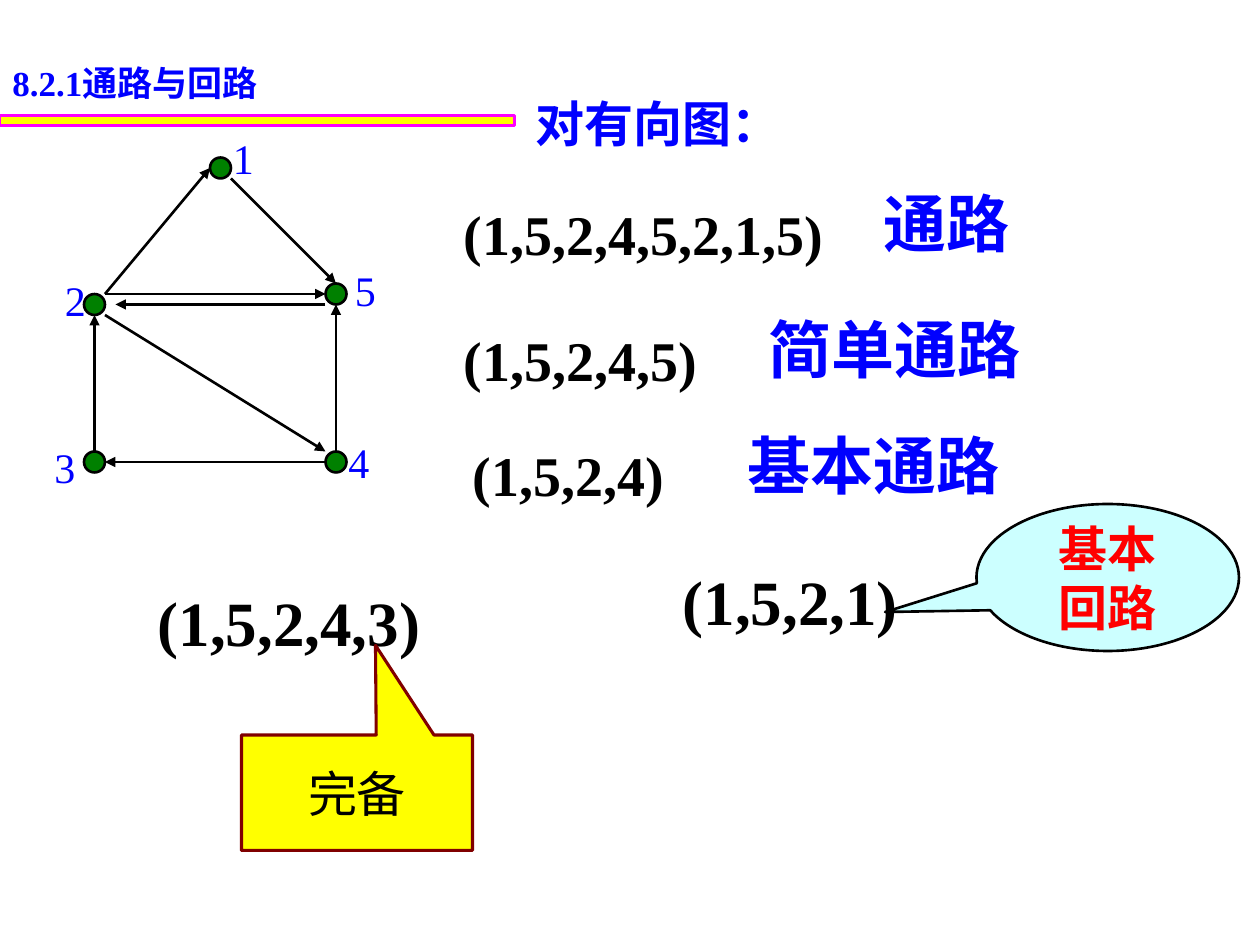
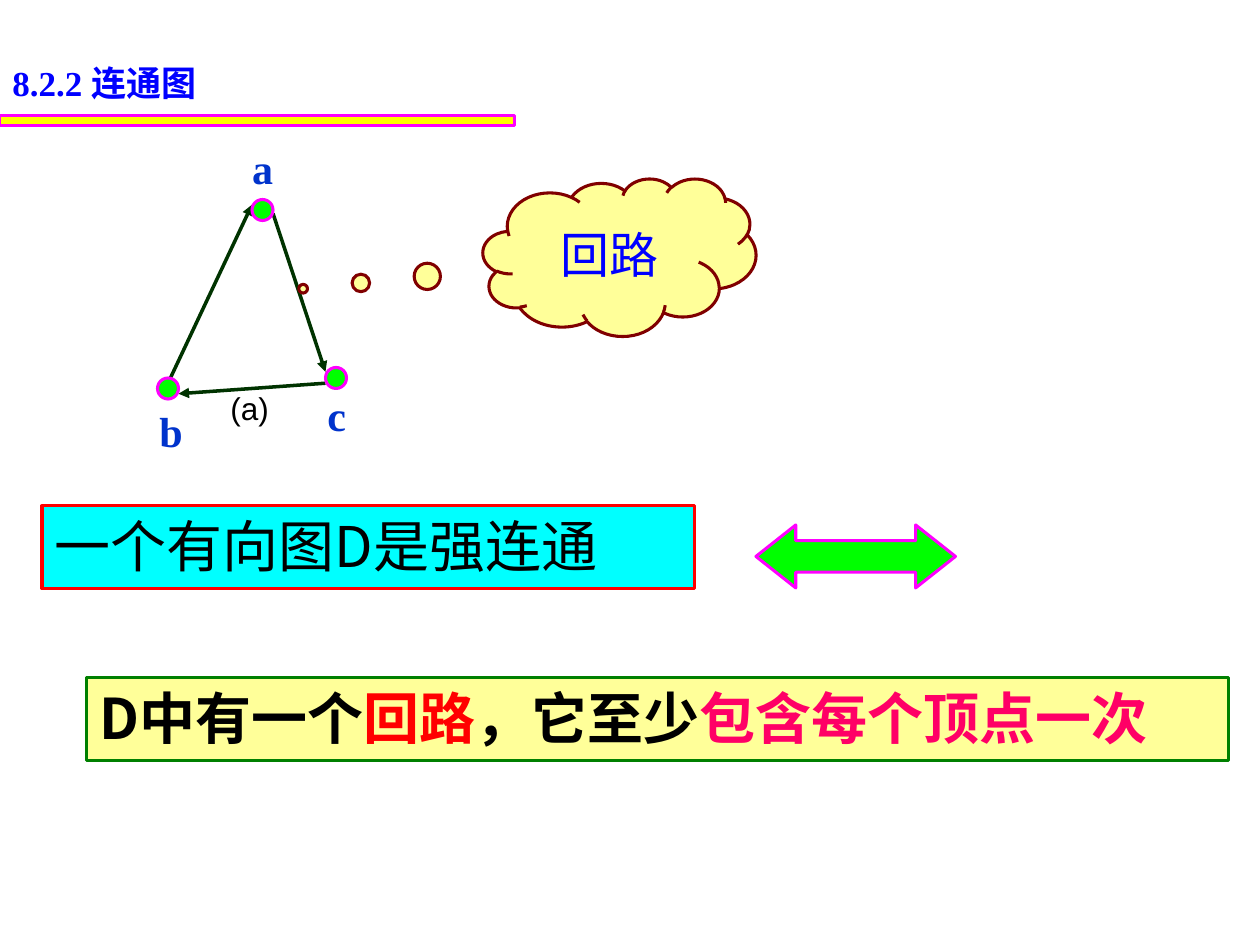
from lxml import etree
from pptx import Presentation
from pptx import util as u
from pptx.dml.color import RGBColor
from pptx.enum import shapes, text
from pptx.oxml import ns

Pt = u.Pt
SHAPE = shapes.MSO_SHAPE
SERIF, SANS, CJK = "Times New Roman", "Arial", "Noto Sans CJK JP"
NODE = 12
C = {
    "black": "000000", "blue": "0000FF", "royal": "0033CC", "red": "FF0000",
    "pink": "FF0066", "magenta": "FF00FF", "maroon": "800000",
    "yellow": "FFFF00", "cream": "FFFF99", "cyan": "00FFFF", "ice": "CCFFFF",
    "green": "008000", "lime": "00FF00", "forest": "003300",
}


def rgb(name):
    return RGBColor.from_string(C[name])


def write(tf, paragraphs, size, font=SANS, color="black", bold=False, align=None):
    for i, runs in enumerate(paragraphs):
        p = tf.paragraphs[0] if i == 0 else tf.add_paragraph()
        p.alignment = align
        for words, *style in runs:
            run_font, run_color = (style + [None, None])[:2]
            r = p.add_run()
            r.text = words
            r.font.size = Pt(size)
            r.font.bold = bold
            r.font.color.rgb = rgb(run_color or color)
            r.font.name = run_font or font
            ea = etree.SubElement(r.font._element, ns.qn("a:ea"))
            ea.set("typeface", CJK)


def add_text(s, box, runs, size, wrap=True, **style):
    tf = s.shapes.add_textbox(*map(Pt, box)).text_frame
    tf.word_wrap = wrap
    tf.auto_size = text.MSO_AUTO_SIZE.SHAPE_TO_FIT_TEXT
    write(tf, [runs], size, **style)


def add_shape(s, kind, box, fill, line, width=1.75, adj=()):
    sp = s.shapes.add_shape(kind, *map(Pt, box))
    sp.shadow.inherit = False
    sp.fill.solid()
    sp.fill.fore_color.rgb = rgb(fill)
    sp.line.color.rgb = rgb(line)
    sp.line.width = Pt(width)
    for i, value in enumerate(adj):
        sp.adjustments[i] = value
    return sp


def add_callout(s, kind, box, fill, line, adj, lines, color, width=1.75, bold=False):
    tf = add_shape(s, kind, box, fill, line, width, adj).text_frame
    tf.word_wrap = True
    tf.vertical_anchor = text.MSO_ANCHOR.MIDDLE
    write(tf, [[(words,)] for words in lines], 28, color=color, bold=bold,
          align=text.PP_ALIGN.CENTER)


def add_banner(s, box, fill, line, runs, bold=False):
    tf = add_shape(s, SHAPE.RECTANGLE, box, fill, line).text_frame
    tf.word_wrap = True
    tf.vertical_anchor = text.MSO_ANCHOR.TOP
    write(tf, [runs], 32, font=CJK, bold=bold, align=text.PP_ALIGN.LEFT)


def add_arrow(s, x1, y1, x2, y2, color, width):
    cn = s.shapes.add_connector(shapes.MSO_CONNECTOR.STRAIGHT,
                                Pt(x1), Pt(y1), Pt(x2), Pt(y2))
    cn.line.color.rgb = rgb(color)
    cn.line.width = Pt(width)
    sp_pr = cn._element.spPr
    tail = etree.SubElement(sp_pr.find(ns.qn("a:ln")), ns.qn("a:tailEnd"))
    tail.set("type", "triangle")
    etree.SubElement(sp_pr, ns.qn("a:effectLst"))


def add_graph(s, x, y, nodes, edges, fill, outline, outline_width,
              edge_color, edge_width, label_color, bold):
    for x1, y1, x2, y2 in edges:
        add_arrow(s, x + x1, y + y1, x + x2, y + y2, edge_color, edge_width)
    for label, (node_x, node_y), (label_x, label_y) in nodes:
        add_shape(s, SHAPE.OVAL, (x + node_x, y + node_y, NODE, NODE),
                  fill, outline, outline_width)
        add_text(s, (x + label_x, y + label_y, 28, 36), [(label,)], 24,
                 wrap=False, font=SERIF, color=label_color, bold=bold)


def add_header(s, x, y, number, title):
    add_shape(s, SHAPE.RECTANGLE, (x, y + 34.3, 294, 6), "yellow", "magenta")
    add_text(s, (x, y, 253.5, 31), [(number, SERIF), (title,)], 20,
             color="blue", bold=True)


def add_walk(s, x, y, walk, kind, kind_x):
    add_text(s, (x, y + 8.2, 301, 45), [(walk,)], 32, font=SERIF, bold=True)
    add_text(s, (kind_x, y, 220, 50), [(kind,)], 36, color="blue", bold=True)


def add_circuit(s, x, y, width, walk):
    add_text(s, (x, y, width, 50), [(walk,)], 36, font=SERIF, bold=True)


def build_paths(s):
    add_header(s, 0, 31.7, "8.2.1", "通路与回路")
    nodes = [
        ("1", (96, 18), (102, 0)),
        ("2", (24, 96), (6, 81.4)),
        ("3", (24, 186), (0, 177)),
        ("4", (162, 186), (168, 174)),
        ("5", (162, 90), (171.8, 75.6)),
    ]
    edges = [
        (36, 96, 96, 24), (108, 30, 168, 90), (30, 186, 30, 108),
        (168, 186, 168, 102), (162, 192, 36, 192), (36, 108, 162, 186),
        (36, 96, 162, 96), (162, 102, 42, 102),
    ]
    add_graph(s, 24, 72, nodes, edges, "green", "black", 1.5,
              "black", 1.5, "blue", False)
    add_text(s, (299, 49.7, 175, 41), [("对有向图：",)], 28, color="blue", bold=True)
    for x, y, walk, kind, kind_x in [
        (258, 102, "(1,5,2,4,5,2,1,5)", "通路", 498),
        (258, 174, "(1,5,2,4,5)", "简单通路", 432),
        (263, 240, "(1,5,2,4)", "基本通路", 420),
    ]:
        add_walk(s, x, y, walk, kind, kind_x)
    add_circuit(s, 383, 318, 193, "(1,5,2,1)")
    add_circuit(s, 83, 330, 361, "(1,5,2,4,3)")
    add_callout(s, SHAPE.OVAL_CALLOUT, (558, 288, 150, 84), "ice", "black",
                (-0.848, 0.235), ["基本", "回路"], "red", width=1.5, bold=True)
    add_callout(s, SHAPE.RECTANGULAR_CALLOUT, (138, 420, 132, 66), "yellow",
                "maroon", (0.08, -1.277), ["完备"], "black")


def build_connectivity(s):
    add_header(s, 0, 31.7, "8.2.2 ", "连通图")
    nodes = [
        ("a", (60, 36), (53, 0)),
        ("b", (6, 138), (0, 150)),
        ("c", (102, 132), (96, 141)),
    ]
    edges = [(12, 141, 60, 39), (102, 141, 18, 147), (72, 44, 102, 134.5)]
    add_graph(s, 84, 78, nodes, edges, "lime", "magenta", 1.75,
              "forest", 2, "royal", True)
    add_text(s, (124.6, 219, 44, 29), [("(a)",)], 18, wrap=False)
    add_callout(s, SHAPE.CLOUD_CALLOUT, (276, 102, 156, 90), "cream", "maroon",
                (-1.159, 0.2), ["回路"], "blue")
    add_banner(s, (24, 289, 373, 47.5), "cyan", "red", [("一个有向图D是强连通",)])
    add_shape(s, SHAPE.LEFT_RIGHT_ARROW, (432, 300, 114, 36), "lime", "magenta",
              adj=(0.5, 0.633))
    add_banner(s, (49.5, 387.3, 652.5, 47.5), "cream", "green",
               [("D中有一个",), ("回路", CJK, "red"), ("，它至少",),
                ("包含每个顶点一次", CJK, "pink")], bold=True)


def main():
    prs = Presentation()
    prs.slide_width, prs.slide_height = Pt(720), Pt(540)
    for build in (build_paths, build_connectivity):
        build(prs.slides.add_slide(prs.slide_layouts[6]))
    prs.save("out.pptx")


if __name__ == "__main__":
    main()
